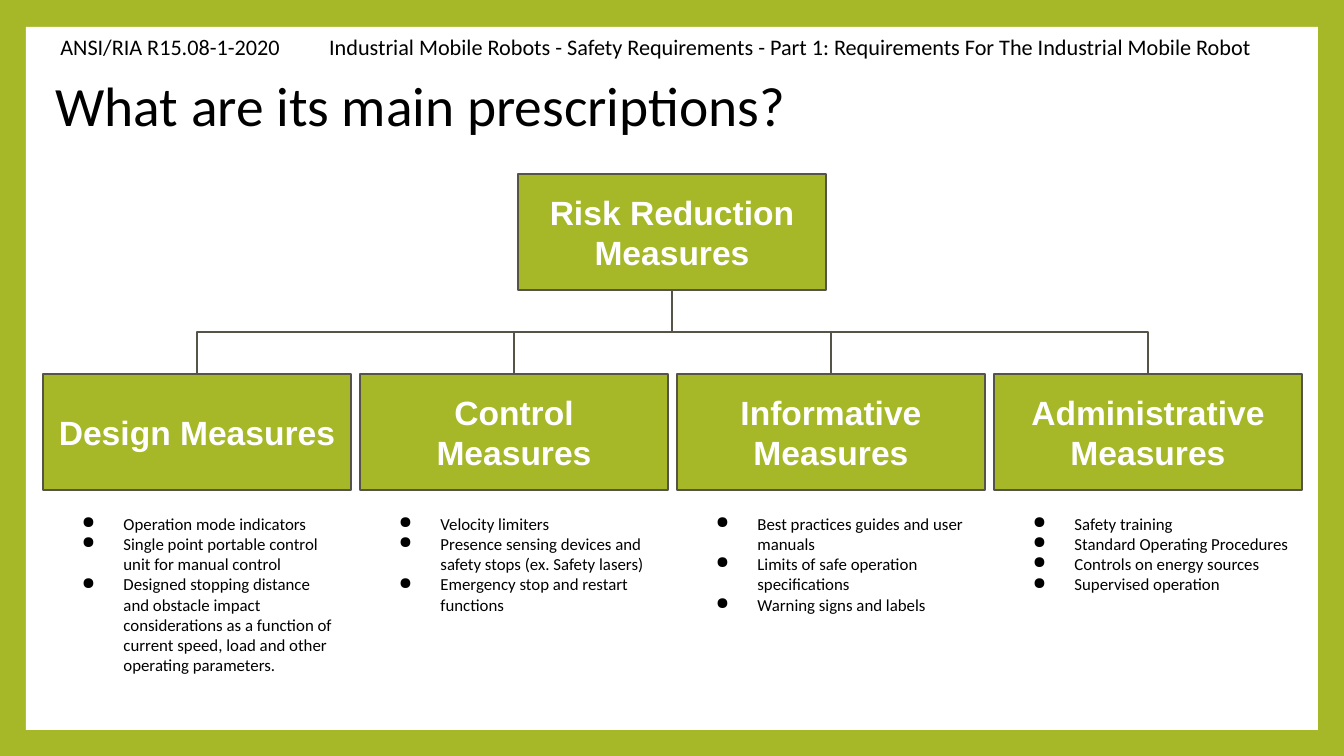
from lxml import etree
from pptx import Presentation
from pptx import util as u
from pptx.dml.color import RGBColor
from pptx.enum import shapes, text
from pptx.oxml.ns import qn

GREEN = RGBColor(0xA6, 0xB7, 0x27)
LINE = RGBColor(0x56, 0x53, 0x49)
WHITE = RGBColor(0xFF, 0xFF, 0xFF)
BLACK = RGBColor(0, 0, 0)

PX = 914400 / 134.4
BOX_W, BOX_H = 308, 116
COL_X, COL_STEP = 43, 317
ROOT_X, ROOT_Y = 518, 174
BOX_Y, LIST_Y = 374, 500

COLUMNS = [
    ("Design Measures", 190, [
        "Operation mode indicators",
        "Single point portable control unit for manual control",
        "Designed stopping distance and obstacle impact considerations as a "
        "function of current speed, load and other operating parameters."]),
    ("Control Measures", 129, [
        "Velocity limiters",
        "Presence sensing devices and safety stops (ex. Safety lasers)",
        "Emergency stop and restart functions"]),
    ("Informative Measures", 129, [
        "Best practices guides and user manuals",
        "Limits of safe operation specifications",
        "Warning signs and labels"]),
    ("Administrative Measures", 129, [
        "Safety training",
        "Standard Operating Procedures",
        "Controls on energy sources",
        "Supervised operation"]),
]


def px(*values):
    return [u.Emu(round(v * PX)) for v in values]


def write(sp, lines, font, size, color, inset, anchor=text.MSO_ANCHOR.TOP):
    tf = sp.text_frame
    tf.word_wrap = True
    tf.auto_size = text.MSO_AUTO_SIZE.NONE
    tf.vertical_anchor = anchor
    tf.margin_left = tf.margin_right = tf.margin_top = tf.margin_bottom = u.Inches(inset)
    tf.text = "\n".join(lines)
    for p in tf.paragraphs:
        p.font.name, p.font.size = font, u.Pt(size)
        p.font.color.rgb = color
    return tf


prs = Presentation()
prs.slide_width, prs.slide_height = px(1344, 756)
s = prs.slides.add_slide(prs.slide_layouts[5])

# Green frame around a white panel, kept behind the title
s.background.fill.solid()
s.background.fill.fore_color.rgb = GREEN
panel = s.shapes.add_shape(shapes.MSO_SHAPE.RECTANGLE, *px(26, 27, 1292, 703))
panel.shadow.inherit = False
panel.fill.solid()
panel.fill.fore_color.rgb = WHITE
panel.line.fill.background()
s.shapes._spTree.insert(2, panel._element)

# Title and standard reference
title = s.shapes.title
title.left, title.top, title.width, title.height = px(46, 66, 1253, 85)
tf = write(title, ["What are its main prescriptions?"], "Calibri", 29.7, BLACK, 0.07,
           text.MSO_ANCHOR.MIDDLE)
tf.paragraphs[0].alignment = text.PP_ALIGN.LEFT
tf.paragraphs[0].line_spacing = 0.9

reference = s.shapes.add_textbox(*px(51, 27, 1253, 55))
tf = write(reference, ["ANSI/RIA R15.08-1-2020\tIndustrial Mobile Robots - Safety Requirements"
                       " - Part 1: Requirements For The Industrial Mobile Robot"],
           "Calibri", 11.9, BLACK, 0.07)
tf.paragraphs[0].line_spacing = 0.9

# Chart boxes: the root, then one per column
places = [("Risk Reduction Measures", ROOT_X, ROOT_Y)]
places += [(name, COL_X + i * COL_STEP, BOX_Y) for i, (name, _, _) in enumerate(COLUMNS)]
boxes = []
for name, x, y in places:
    sp = s.shapes.add_shape(shapes.MSO_SHAPE.RECTANGLE, *px(x, y, BOX_W, BOX_H))
    sp.shadow.inherit = False
    sp.fill.solid()
    sp.fill.fore_color.rgb = GREEN
    sp.line.color.rgb = LINE
    sp.line.width = u.Pt(0.75)
    p = write(sp, [name], "Arial", 18, WHITE, 0.1, text.MSO_ANCHOR.MIDDLE).paragraphs[0]
    p.alignment = text.PP_ALIGN.CENTER
    p.font.bold = True
    boxes.append(sp)
root, *children = boxes

# Elbow connectors, turned a quarter so that they leave the root downwards
x1, y1 = ROOT_X + BOX_W / 2, ROOT_Y + BOX_H
drop = BOX_Y - y1
for i, child in enumerate(children):
    x2 = COL_X + i * COL_STEP + BOX_W / 2
    span = abs(x2 - x1)
    c = s.shapes.add_connector(shapes.MSO_CONNECTOR.ELBOW, *px(x1, y1, x2, BOX_Y))
    c.begin_connect(root, 2)
    c.end_connect(child, 0)
    c.left, c.top, c.width, c.height = px(
        (x1 + x2 - drop) / 2, (y1 + BOX_Y - span) / 2, drop, span)
    xfrm = c._element.spPr.find(qn("a:xfrm"))
    xfrm.set("rot", "16200000" if x2 > x1 else "5400000")
    xfrm.set("flipH", "1" if x2 > x1 else "0")
    c.line.color.rgb = LINE
    c.line.width = u.Pt(0.75)
    etree.SubElement(c._element.spPr, qn("a:effectLst"))

# Bulleted lists below the columns
for i, (_, height, items) in enumerate(COLUMNS):
    sp = s.shapes.add_textbox(*px(COL_X + i * COL_STEP, LIST_Y, BOX_W, height))
    tf = write(sp, items, "Calibri", 9, BLACK, 0.1)
    tf.auto_size = text.MSO_AUTO_SIZE.SHAPE_TO_FIT_TEXT
    for p in tf.paragraphs:
        pPr = p._p.get_or_add_pPr()
        pPr.set("marL", str(u.Inches(0.5)))
        pPr.set("indent", str(u.Inches(-0.31)))
        bullet = etree.Element(qn("a:buChar"), char="●")
        pPr.insert(0, bullet)

prs.save("out.pptx")
